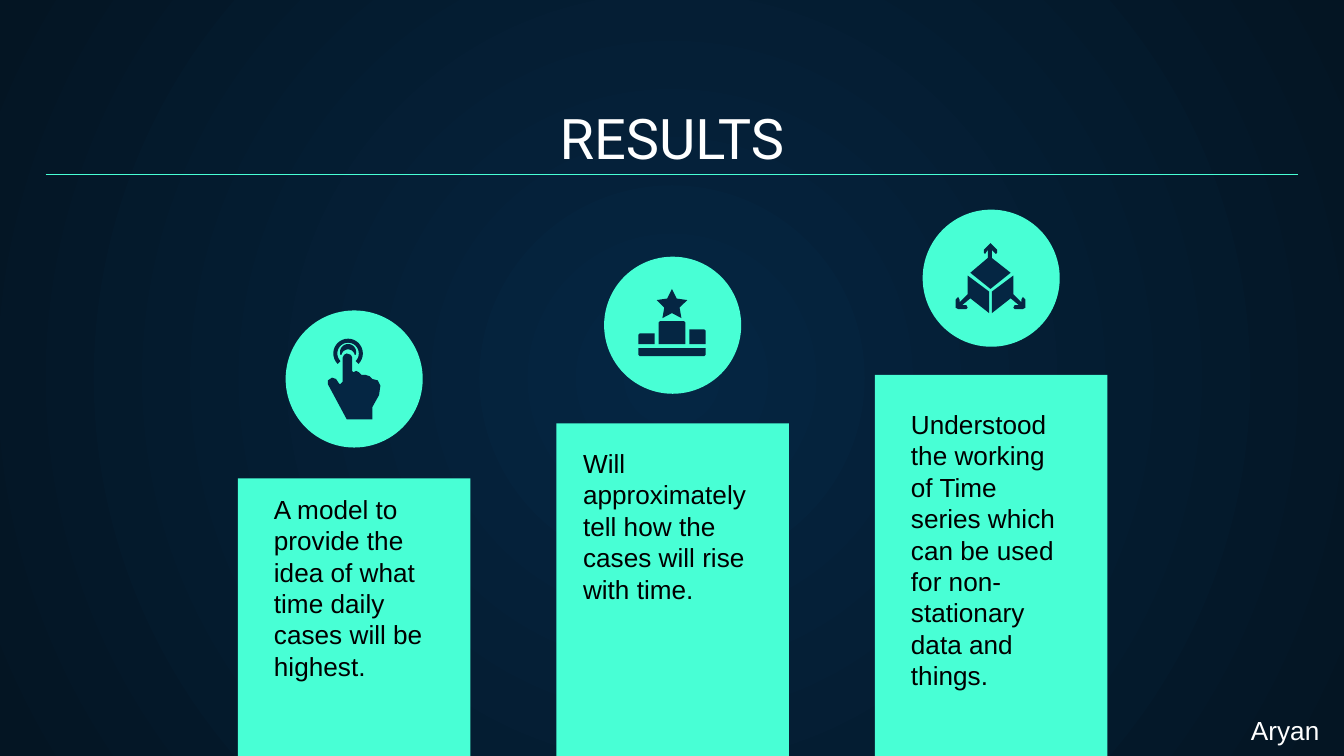
import math
from dataclasses import dataclass

import pptx
import pptx.dml.color
import pptx.enum.shapes
import pptx.enum.text
import pptx.oxml
import pptx.oxml.ns
import pptx.util
from pptx.util import Inches

Point = tuple[float, float]
Polygon = list[Point]
SHAPE = pptx.enum.shapes.MSO_SHAPE
MINT, NAVY, DARK, WHITE, BLACK = "48FFD5", "052643", "041523", "FFFFFF", "000000"


@dataclass
class Box:
    left: float
    top: float
    width: float
    height: float

    def emu(self) -> list[int]:
        return [Inches(v) for v in (self.left, self.top, self.width, self.height)]


@dataclass
class Result:
    bar_top: float
    circle_top: float
    text: str
    text_box: Box
    icon: list[Polygon]


def rgb(color: str) -> pptx.dml.color.RGBColor:
    return pptx.dml.color.RGBColor.from_string(color)


def paint(sp, color: str) -> None:
    sp.shadow.inherit = False
    sp.fill.solid()
    sp.fill.fore_color.rgb = rgb(color)
    sp.line.fill.background()


def arc(cx: float, cy: float, radius: float, start: float, end: float) -> Polygon:
    steps = 24
    angles = [math.radians(start + (end - start) * i / steps) for i in range(steps + 1)]
    return [(cx + radius * math.cos(a), cy - radius * math.sin(a)) for a in angles]


def star(cx: float, cy: float, outer: float, inner: float) -> Polygon:
    return [(cx + r * math.sin(i * math.pi / 5), cy - r * math.cos(i * math.pi / 5))
            for i, r in enumerate([outer, inner] * 5)]


def mirror(points: Polygon, axis: float) -> Polygon:
    return [(2 * axis - x, y) for x, y in points]


def add_icon(s, polygons: list[Polygon]) -> None:
    group = s.shapes.add_group_shape()
    for polygon in polygons:
        points = [(Inches(x), Inches(y)) for x, y in polygon]
        builder = group.shapes.build_freeform(*points[0])
        builder.add_line_segments(points[1:], close=True)
        paint(builder.convert_to_shape(), NAVY)


def add_run(p, text: str, size: float, font: str, color: str) -> None:
    r = p.add_run()
    r.text = text
    r.font.size = pptx.util.Pt(size)
    r.font.name = font
    r.font.color.rgb = rgb(color)


def add_text(s, text: str, box: Box, color: str) -> None:
    tf = s.shapes.add_textbox(*box.emu()).text_frame
    tf.word_wrap = True
    tf.auto_size = pptx.enum.text.MSO_AUTO_SIZE.SHAPE_TO_FIT_TEXT
    add_run(tf.paragraphs[0], text, 14, "Arial", color)


def add_result(s, left: float, result: Result) -> None:
    width, diameter, bottom = 1.73, 1.02, 5.66
    bar = Box(left, result.bar_top, width, bottom - result.bar_top)
    circle = Box(left + (width - diameter) / 2, result.circle_top, diameter, diameter)
    paint(s.shapes.add_shape(SHAPE.RECTANGLE, *bar.emu()), MINT)
    paint(s.shapes.add_shape(SHAPE.OVAL, *circle.emu()), MINT)
    add_icon(s, result.icon)
    add_text(s, result.text, result.text_box, BLACK)


def set_background(s) -> None:
    fill = s.background.fill
    fill.gradient()
    for stop, color in zip(fill.gradient_stops, (NAVY, DARK)):
        stop.color.rgb = rgb(color)
    lin = s._element.find(".//" + pptx.oxml.ns.qn("a:lin"))
    radial = pptx.oxml.parse_xml(
        f'<a:path {pptx.oxml.ns.nsdecls("a")} path="circle">'
        '<a:fillToRect l="50000" t="50000" r="50000" b="50000"/></a:path>')
    lin.getparent().replace(lin, radial)


def add_title(s, text: str) -> None:
    s.placeholders[1]._element.getparent().remove(s.placeholders[1]._element)
    sp = s.shapes.title
    sp.left, sp.top, sp.width, sp.height = Box(0.34, 0.71, 9.32, 0.66).emu()
    tf = sp.text_frame
    tf.margin_left = tf.margin_right = tf.margin_top = tf.margin_bottom = Inches(0.1)
    tf.vertical_anchor = pptx.enum.text.MSO_ANCHOR.BOTTOM
    tf.auto_size = pptx.enum.text.MSO_AUTO_SIZE.NONE
    p = tf.paragraphs[0]
    p.alignment = pptx.enum.text.PP_ALIGN.CENTER
    add_run(p, text, 30, "Roboto", WHITE)


def add_rule(s) -> None:
    line = s.shapes.add_connector(pptx.enum.shapes.MSO_CONNECTOR.STRAIGHT,
                                  Inches(0.34), Inches(1.3), Inches(9.66), Inches(1.3))
    line.line.color.rgb = rgb(MINT)
    line.line.width = pptx.util.Pt(0.75)
    line._element.spPr.append(
        pptx.oxml.parse_xml(f'<a:effectLst {pptx.oxml.ns.nsdecls("a")}/>'))


HAND = [(2.55, 2.66), (2.56, 2.64), (2.58, 2.63), (2.61, 2.64), (2.62, 2.66),
        (2.62, 2.76), (2.63, 2.77), (2.65, 2.76), (2.67, 2.77), (2.69, 2.79),
        (2.72, 2.79), (2.75, 2.8), (2.77, 2.82), (2.81, 2.83), (2.83, 2.87),
        (2.82, 2.94), (2.77, 3.03), (2.77, 3.12), (2.58, 3.12), (2.44, 2.86),
        (2.44, 2.83), (2.47, 2.81), (2.5, 2.82), (2.52, 2.85), (2.53, 2.86), (2.55, 2.84)]
TOUCH = [
    arc(2.59, 2.63, 0.11, 225, -45) + arc(2.59, 2.63, 0.08, -45, 225),
    arc(2.59, 2.62, 0.06, 200, -20) + arc(2.59, 2.65, 0.05, 10, 170),
    HAND,
]
PODIUM = [
    star(5, 2.27, 0.12, 0.06),
    [(5.13, 2.45), (5.24, 2.45), (5.25, 2.46), (5.25, 2.56), (5.13, 2.56)],
    [(4.9, 2.4), (4.91, 2.39), (5.09, 2.39), (5.1, 2.4), (5.1, 2.56), (4.9, 2.56)],
    [(4.75, 2.59), (5.25, 2.59), (5.25, 2.64), (5.24, 2.65), (4.76, 2.65), (4.75, 2.64)],
    [(4.75, 2.49), (4.76, 2.48), (4.87, 2.48), (4.87, 2.56), (4.75, 2.56)],
]
CUBE_SIDE = [(7.54, 2.05), (7.38, 2.17), (7.38, 2.33), (7.52, 2.22), (7.58, 2.27),
             (7.55, 2.27), (7.54, 2.29), (7.55, 2.3), (7.61, 2.3), (7.63, 2.29),
             (7.63, 2.23), (7.61, 2.21), (7.6, 2.23), (7.6, 2.25), (7.54, 2.19)]
CUBE_TOP = [(7.37, 1.81), (7.36, 1.82), (7.32, 1.86), (7.32, 1.88), (7.33, 1.89),
            (7.35, 1.86), (7.35, 1.92), (7.22, 2.03), (7.37, 2.15), (7.52, 2.03),
            (7.38, 1.92), (7.38, 1.86), (7.41, 1.89), (7.42, 1.88), (7.42, 1.86), (7.38, 1.82)]
CUBE = [CUBE_SIDE, mirror(CUBE_SIDE, 7.37), CUBE_TOP]

RESULTS = [
    Result(3.56, 2.31,
           "A model to provide the idea of what time daily cases will be highest.",
           Box(1.94, 3.62, 1.37, 1.51), TOUCH),
    Result(3.15, 1.91, "Will approximately tell how the cases will rise with time.",
           Box(4.24, 3.28, 1.44, 1.28), PODIUM),
    Result(2.79, 1.56,
           "Understood the working of Time series which can be used for "
           "non-stationary data and things.",
           Box(6.68, 2.99, 1.37, 2.22), CUBE),
]


def main() -> None:
    prs = pptx.Presentation()
    prs.slide_width = Inches(10)
    prs.slide_height = prs.slide_width * 9 // 16
    s = prs.slides.add_slide(prs.slide_layouts[0])
    set_background(s)
    add_title(s, "RESULTS")
    add_rule(s)
    for i, result in enumerate(RESULTS):
        add_result(s, 1.77 + 2.37 * i, result)
    add_text(s, "Aryan", Box(9.21, 5.27, 0.83, 0.34), WHITE)
    prs.save("out.pptx")


if __name__ == "__main__":
    main()
